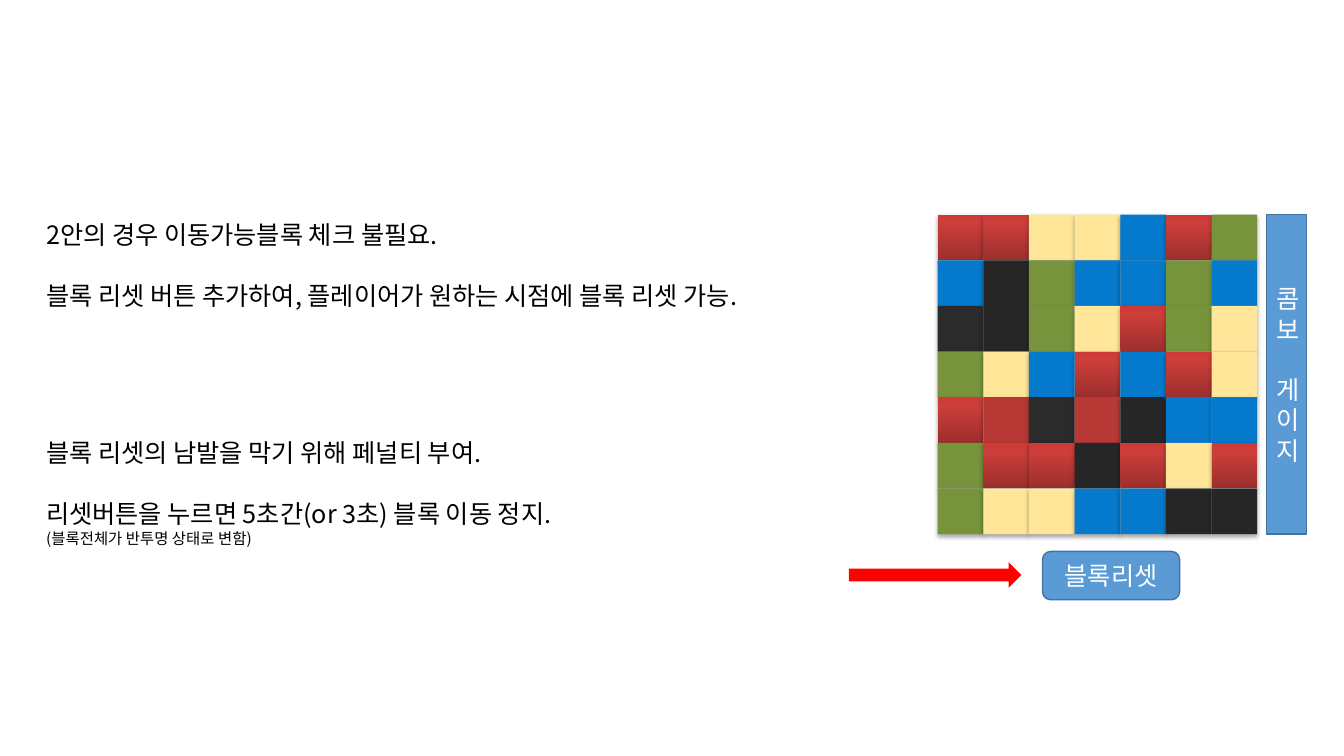
"""Build the slide that explains the block reset button and its penalty."""
from typing import NamedTuple

from lxml import etree
from pptx import Presentation
from pptx.dml.color import RGBColor
from pptx.enum.shapes import MSO_SHAPE
from pptx.enum.text import MSO_ANCHOR, PP_ALIGN
from pptx.oxml import parse_xml
from pptx.oxml.ns import nsdecls, qn
from pptx.shapes.autoshape import Shape
from pptx.shapes.shapetree import GroupShapes, SlideShapes
from pptx.text.text import _Paragraph as Paragraph
from pptx.util import Emu, Pt

RECTANGLE = MSO_SHAPE.RECTANGLE
ROUNDED_RECTANGLE = MSO_SHAPE.ROUNDED_RECTANGLE
RIGHT_ARROW = MSO_SHAPE.RIGHT_ARROW
CENTER = PP_ALIGN.CENTER
MIDDLE = MSO_ANCHOR.MIDDLE

EMU_PER_PX = 9144
FONT = "Noto Sans CJK KR"
BODY_SIZE = 18
NOTE_SIZE = 11
LINE_GAP = 22

BLACK = RGBColor(0x00, 0x00, 0x00)
WHITE = RGBColor(0xFF, 0xFF, 0xFF)
ARROW_RED = RGBColor(0xFF, 0x00, 0x00)
BUTTON_BLUE = RGBColor(0x5B, 0x9B, 0xD5)
BUTTON_EDGE = RGBColor(0x43, 0x73, 0x9E)
BLOCK_COLORS = {
    "Y": RGBColor(0xFF, 0xE6, 0x99),
    "B": RGBColor(0x05, 0x79, 0xCC),
    "G": RGBColor(0x77, 0x93, 0x3C),
    "K": RGBColor(0x26, 0x26, 0x26),
    "D": RGBColor(0x2B, 0x2B, 0x2B),
    "F": RGBColor(0xB6, 0x39, 0x36),
}
GRADIENT_BLOCK = "R"
RED_GRADIENT = (
    (0, RGBColor(0x9C, 0x2F, 0x2D)),
    (80, RGBColor(0xCB, 0x3E, 0x3A)),
    (100, RGBColor(0xCE, 0x3B, 0x37)),
)
BOARD_ROWS = ("RRYYBRG", "BKGBBGB", "DKGYRGY", "GYBRBRY", "RFDFKBB", "GRRKRYR", "GYYBBKK")


class Box(NamedTuple):
    """Position and size in px."""

    left: int
    top: int
    width: int
    height: int

    def emu(self) -> tuple[Emu, ...]:
        """Return the four lengths in EMU."""
        return tuple(Emu(length * EMU_PER_PX) for length in self)


class Line(NamedTuple):
    """One line of explanation."""

    text: str
    size: int = BODY_SIZE
    space_before: int = 0


class Note(NamedTuple):
    """A block of explanation lines."""

    box: Box
    lines: tuple[Line, ...]


class Button(NamedTuple):
    """A labelled blue control."""

    box: Box
    kind: MSO_SHAPE
    label: str


BOARD = Box(930, 213, 317, 317)
ARROW = Box(842, 558, 171, 25)
NOTES = (
    Note(Box(36, 213, 806, 101), (
        Line("2안의 경우 이동가능블록 체크 불필요."),
        Line("블록 리셋 버튼 추가하여, 플레이어가 원하는 시점에 블록 리셋 가능.", space_before=LINE_GAP),
    )),
    Note(Box(36, 429, 754, 119), (
        Line("블록 리셋의 남발을 막기 위해 페널티 부여."),
        Line("리셋버튼을 누르면 5초간(or 3초) 블록 이동 정지.", space_before=LINE_GAP),
        Line("(블록전체가 반투명 상태로 변함)", NOTE_SIZE),
    )),
)
BUTTONS = (
    Button(Box(1256, 213, 40, 317), RECTANGLE, "콤보 게이지"),
    Button(Box(1034, 547, 136, 48), ROUNDED_RECTANGLE, "블록리셋"),
)


def add_run(paragraph: Paragraph, text: str, size: int, color: RGBColor) -> None:
    """Add one formatted run to a paragraph."""
    run = paragraph.add_run()
    run.text = text
    run.font.name = FONT
    run.font.size = Pt(size)
    run.font.color.rgb = color
    east_asian = etree.SubElement(run.font._element, qn("a:ea"))
    east_asian.set("typeface", FONT)


def add_note(shapes: SlideShapes, note: Note) -> None:
    """Add a text box with one paragraph per line."""
    frame = shapes.add_textbox(*note.box.emu()).text_frame
    frame.word_wrap = True
    for index, line in enumerate(note.lines):
        paragraph = frame.add_paragraph() if index else frame.paragraphs[0]
        paragraph.space_before = Pt(line.space_before)
        add_run(paragraph, line.text, line.size, BLACK)


def add_filled(shapes: SlideShapes, kind: MSO_SHAPE, box: Box, color: RGBColor) -> Shape:
    """Add a flat shape without outline or shadow."""
    shape = shapes.add_shape(kind, *box.emu())
    shape.shadow.inherit = False
    shape.fill.solid()
    shape.fill.fore_color.rgb = color
    shape.line.fill.background()
    return shape


def add_button(shapes: SlideShapes, button: Button) -> None:
    """Add an outlined button with a centred label."""
    shape = add_filled(shapes, button.kind, button.box, BUTTON_BLUE)
    shape.line.color.rgb = BUTTON_EDGE
    shape.line.width = Pt(1)
    frame = shape.text_frame
    frame.word_wrap = True
    frame.vertical_anchor = MIDDLE
    paragraph = frame.paragraphs[0]
    paragraph.alignment = CENTER
    add_run(paragraph, button.label, BODY_SIZE, WHITE)


def fill_red_gradient(shape: Shape) -> None:
    """Fill a block with the red gradient, dark at the bottom."""
    shape.fill.gradient()
    shape.fill.gradient_angle = 90
    stops = shape._element.spPr.find(".//" + qn("a:gsLst"))
    for stop in list(stops):
        stops.remove(stop)
    for percent, color in RED_GRADIENT:
        stops.append(parse_xml(
            f'<a:gs {nsdecls("a")} pos="{percent * 1000}"><a:srgbClr val="{color}"/></a:gs>'
        ))


def add_block(shapes: GroupShapes, row: int, column: int, code: str) -> None:
    """Add one shadowed block of the board."""
    pitch = BOARD.width * EMU_PER_PX // len(BOARD_ROWS)
    left, top = BOARD.emu()[:2]
    shape = shapes.add_shape(RECTANGLE, left + column * pitch, top + row * pitch, pitch, pitch)
    if code == GRADIENT_BLOCK:
        fill_red_gradient(shape)
    else:
        shape.fill.solid()
        shape.fill.fore_color.rgb = BLOCK_COLORS[code]
    shape.line.fill.background()
    shape.shadow.inherit = False
    shape._element.spPr.find(qn("a:effectLst")).append(parse_xml(
        f'<a:outerShdw {nsdecls("a")} blurRad="40000" dist="23000" dir="5400000" rotWithShape="0">'
        '<a:srgbClr val="000000"><a:alpha val="35000"/></a:srgbClr></a:outerShdw>'
    ))


def main() -> None:
    """Draw the slide and save it."""
    presentation = Presentation()
    presentation.slide_width = Emu(1333 * EMU_PER_PX)
    presentation.slide_height = Emu(750 * EMU_PER_PX)
    slide = presentation.slides.add_slide(presentation.slide_layouts[6])
    board = slide.shapes.add_group_shape()
    for row, codes in enumerate(BOARD_ROWS):
        for column, code in enumerate(codes):
            add_block(board.shapes, row, column, code)
    for button in BUTTONS:
        add_button(slide.shapes, button)
    for note in NOTES:
        add_note(slide.shapes, note)
    add_filled(slide.shapes, RIGHT_ARROW, ARROW, ARROW_RED)
    presentation.save("out.pptx")


if __name__ == "__main__":
    main()
